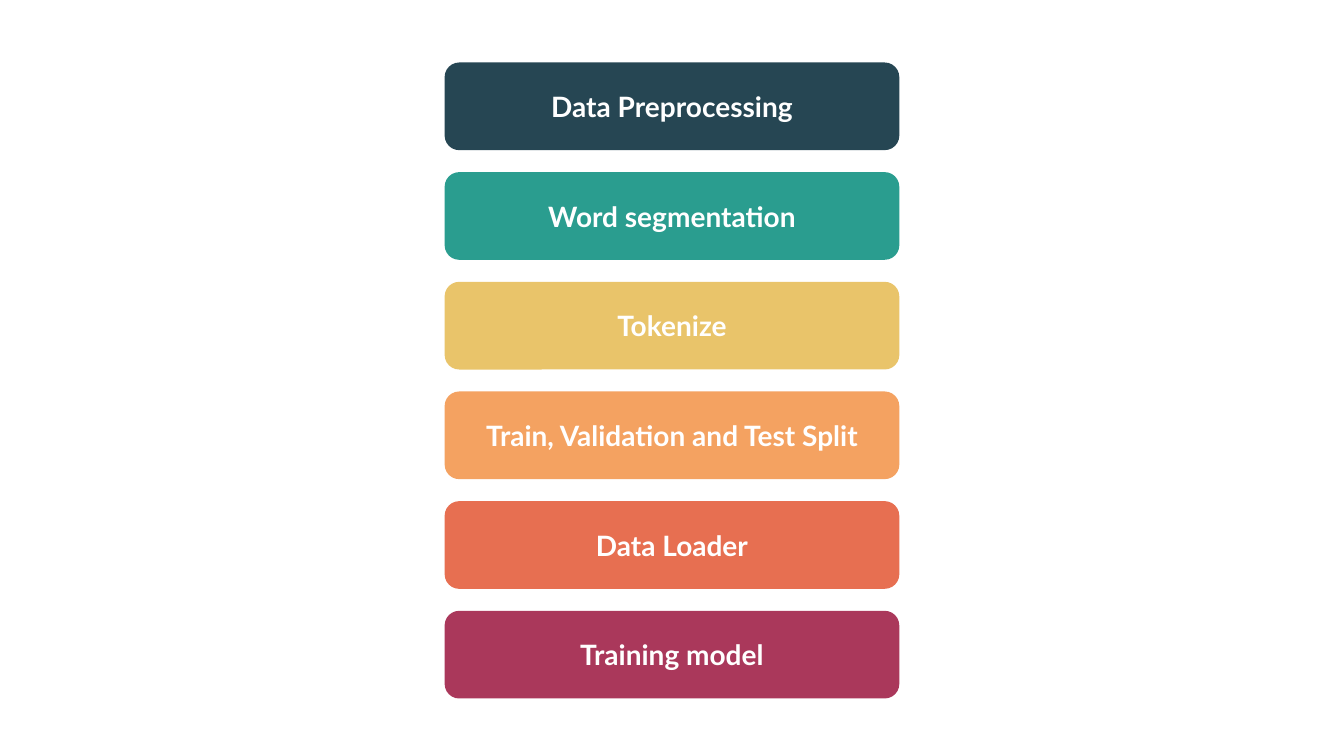
from pptx import Presentation
from pptx.dml.color import RGBColor
from pptx.enum.shapes import MSO_SHAPE
from pptx.enum.text import MSO_ANCHOR, PP_ALIGN
from pptx.util import Inches, Pt


def paint(target, shade):
    target.rgb = RGBColor.from_string(shade)


deck = Presentation()
deck.slide_width, deck.slide_height = Inches(13.33), Inches(7.5)
slide = deck.slides.add_slide(deck.slide_layouts[6])

steps = [
    ("Data Preprocessing", "264653"),
    ("Word segmentation", "2A9D8F"),
    ("Tokenize", "E9C46A"),
    ("Train, Validation and Test Split", "F4A261"),
    ("Data Loader", "E76F51"),
    ("Training model", "AA385B"),
]

# One column of bars, spread evenly from the first top to the last
wide, high = Inches(4.51), Inches(0.87)
left = (deck.slide_width - wide) // 2
first, last = Inches(0.62), Inches(6.06)
pitch = (last - first) // (len(steps) - 1)

for row, (label, shade) in enumerate(steps):
    bar = slide.shapes.add_shape(
        MSO_SHAPE.ROUNDED_RECTANGLE, left, first + row * pitch, wide, high)
    bar.shadow.inherit = False
    bar.fill.solid()
    paint(bar.fill.fore_color, shade)
    bar.line.fill.background()

    frame = bar.text_frame
    frame.word_wrap = True
    frame.vertical_anchor = MSO_ANCHOR.MIDDLE
    line = frame.paragraphs[0]
    line.text = label
    line.alignment = PP_ALIGN.CENTER
    line.font.name = "Lato"
    line.font.size = Pt(20)
    line.font.bold = True
    paint(line.font.color, "FFFFFF")

deck.save("out.pptx")
